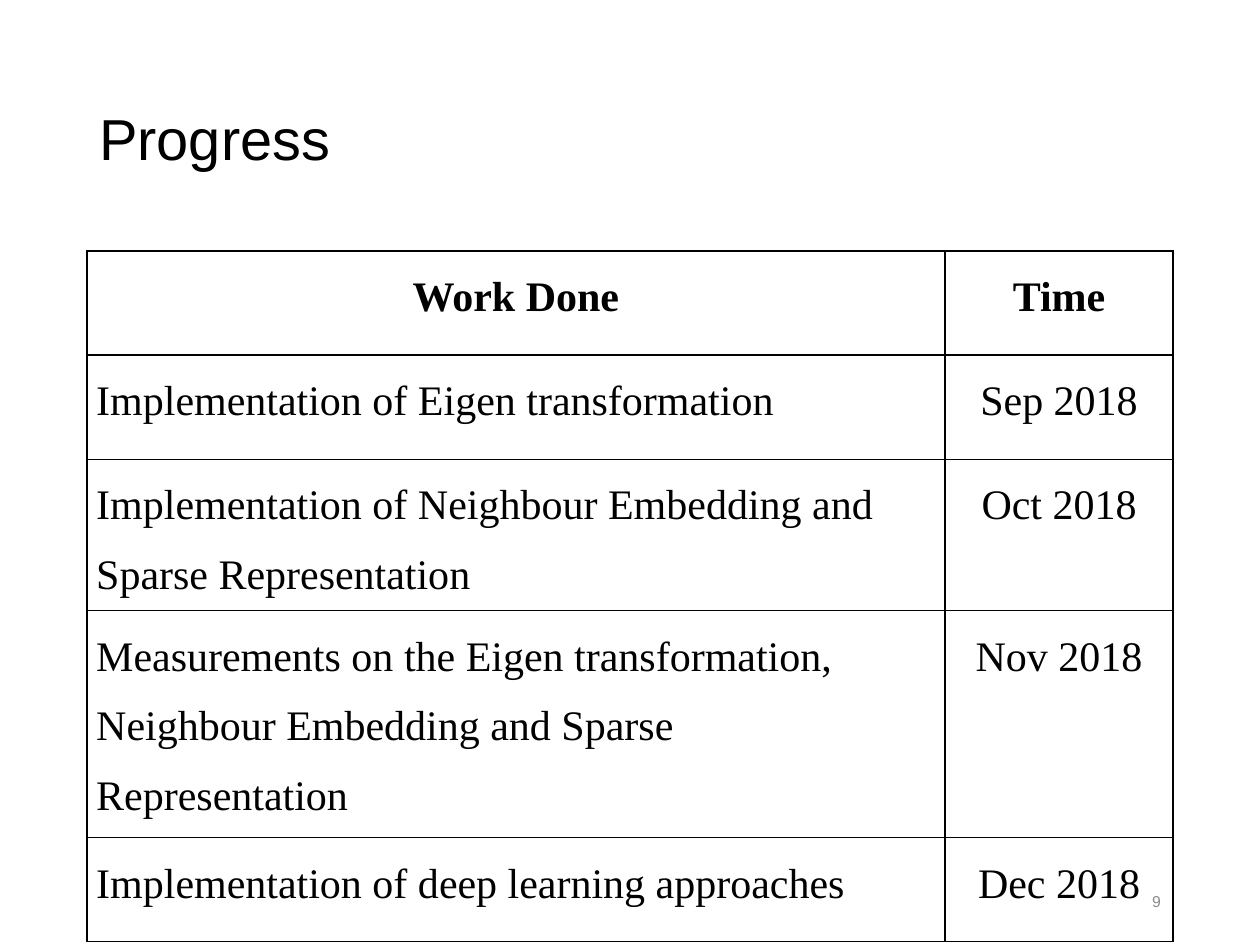
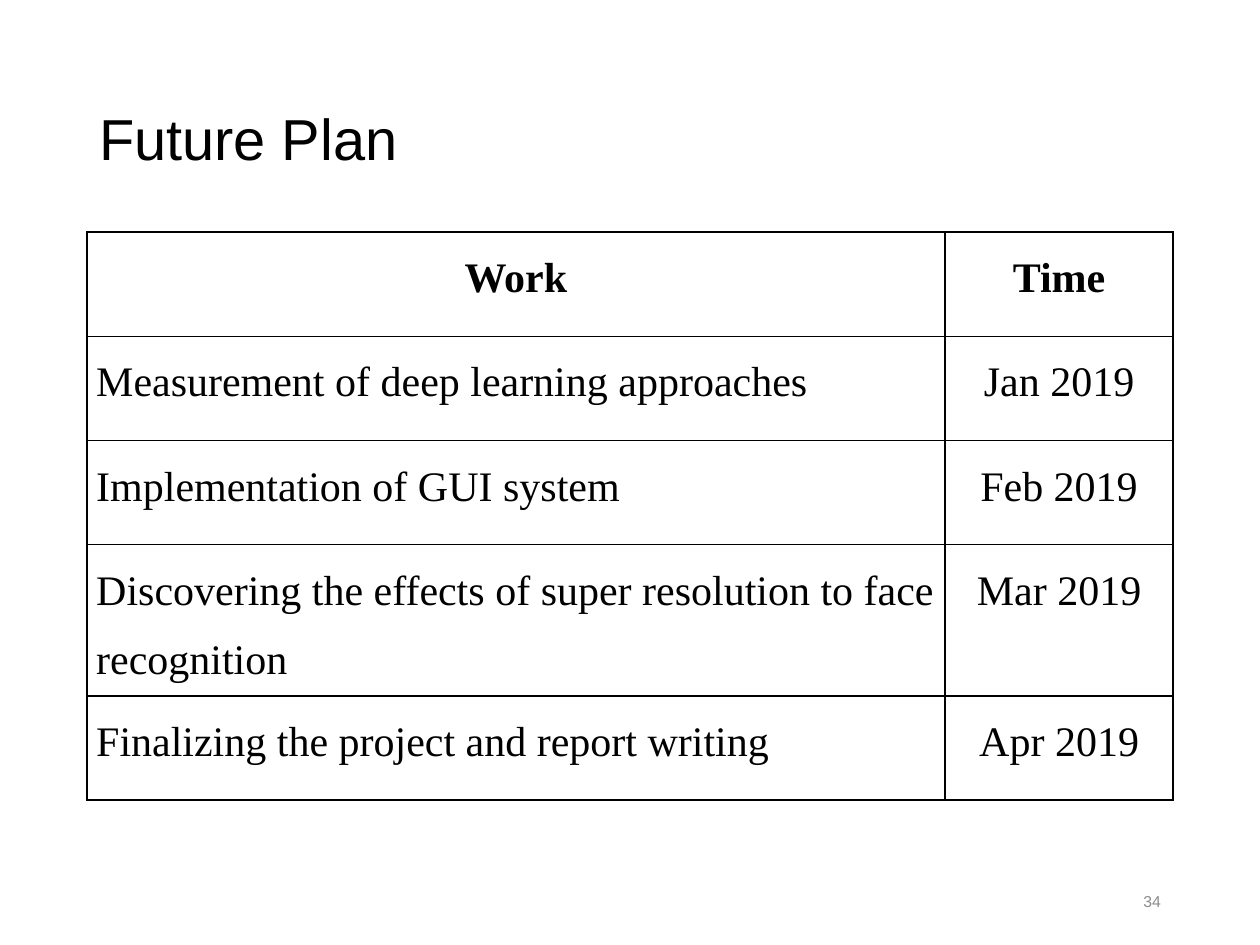
import dataclasses

import lxml.etree
import pptx
import pptx.dml.color
import pptx.enum.text
import pptx.oxml.ns
import pptx.util

Cm = pptx.util.Cm
Pt = pptx.util.Pt
ALIGN = pptx.enum.text.PP_ALIGN


@dataclasses.dataclass(frozen=True)
class Theme:
    title_font: str = "Arial"
    table_font: str = "Times New Roman"
    ink: str = "000000"
    muted: str = "8C8C8C"
    title_size: float = 33
    table_size: float = 24
    number_size: float = 9
    border_width: float = 1


THEME = Theme()
MARGIN = 1.75
COLUMN_WIDTHS = (17.3, 4.6)
CONTENT_WIDTH = sum(COLUMN_WIDTHS)
ROW_HEIGHT = 2.1
NUMBER_WIDTH = 5.72

SCHEDULES = [
    {
        "title": "Progress",
        "number": "9",
        "table_top": 5.06,
        "rows": [
            ("Work Done", "Time"),
            ("Implementation of Eigen transformation", "Sep 2018"),
            ("Implementation of Neighbour Embedding and Sparse Representation", "Oct 2018"),
            ("Measurements on the Eigen transformation, Neighbour Embedding "
             "and Sparse Representation", "Nov 2018"),
            ("Implementation of deep learning approaches", "Dec 2018"),
        ],
    },
    {
        "title": "Future Plan",
        "number": "34",
        "table_top": 4.68,
        "rows": [
            ("Work", "Time"),
            ("Measurement of deep learning approaches", "Jan 2019"),
            ("Implementation of GUI system", "Feb 2019"),
            ("Discovering the effects of super resolution to face recognition", "Mar 2019"),
            ("Finalizing the project and report writing", "Apr 2019"),
        ],
    },
]


def write(text_frame, text, font, size, color, align=ALIGN.LEFT, bold=False):
    """Fill the first paragraph with one styled run and return the paragraph."""
    paragraph = text_frame.paragraphs[0]
    paragraph.alignment = align
    run = paragraph.add_run()
    run.text = text
    run.font.name = font
    run.font.size = Pt(size)
    run.font.bold = bold
    run.font.color.rgb = pptx.dml.color.RGBColor.from_string(color)
    return paragraph


def draw_cell_borders(cell):
    """Put the four border lines ahead of the fill, as the schema requires."""
    properties = cell._tc.get_or_add_tcPr()
    qn = pptx.oxml.ns.qn
    for position, side in enumerate(("a:lnL", "a:lnR", "a:lnT", "a:lnB")):
        line = lxml.etree.Element(qn(side), w=str(Pt(THEME.border_width)))
        fill = lxml.etree.SubElement(line, qn("a:solidFill"))
        lxml.etree.SubElement(fill, qn("a:srgbClr"), val=THEME.ink)
        properties.insert(position, line)


presentation = pptx.Presentation()
presentation.slide_width = Cm(25.4)
presentation.slide_height = Cm(19.05)
blank_layout = presentation.slide_layouts[6]

for schedule in SCHEDULES:
    slide = presentation.slides.add_slide(blank_layout)

    title = slide.shapes.add_textbox(Cm(MARGIN), Cm(1.02), Cm(CONTENT_WIDTH), Cm(3.68))
    number = slide.shapes.add_textbox(
        Cm(MARGIN + CONTENT_WIDTH - NUMBER_WIDTH), Cm(17.65), Cm(NUMBER_WIDTH), Cm(1.02))
    for box in (title, number):
        box.text_frame.word_wrap = True
        box.text_frame.vertical_anchor = pptx.enum.text.MSO_ANCHOR.MIDDLE
    heading = write(title.text_frame, schedule["title"],
                    THEME.title_font, THEME.title_size, THEME.ink)
    heading.line_spacing = 0.9
    write(number.text_frame, schedule["number"],
          THEME.title_font, THEME.number_size, THEME.muted, ALIGN.RIGHT)

    rows = schedule["rows"]
    table = slide.shapes.add_table(
        len(rows), len(COLUMN_WIDTHS), Cm(MARGIN), Cm(schedule["table_top"]),
        Cm(CONTENT_WIDTH), Cm(ROW_HEIGHT * len(rows))).table
    table.first_row = False
    table.horz_banding = False
    for column, width in zip(table.columns, COLUMN_WIDTHS):
        column.width = Cm(width)

    for row_index, row in enumerate(rows):
        is_header = row_index == 0
        for column_index, text in enumerate(row):
            cell = table.cell(row_index, column_index)
            cell.margin_left = cell.margin_right = Cm(0.19)
            cell.margin_top = cell.margin_bottom = 0
            cell.fill.background()
            centred = is_header or column_index == 1
            paragraph = write(cell.text_frame, text, THEME.table_font, THEME.table_size,
                              THEME.ink, ALIGN.CENTER if centred else ALIGN.LEFT, is_header)
            paragraph.line_spacing = 1.5
            paragraph.space_after = Pt(6)
            draw_cell_borders(cell)

presentation.save("out.pptx")
